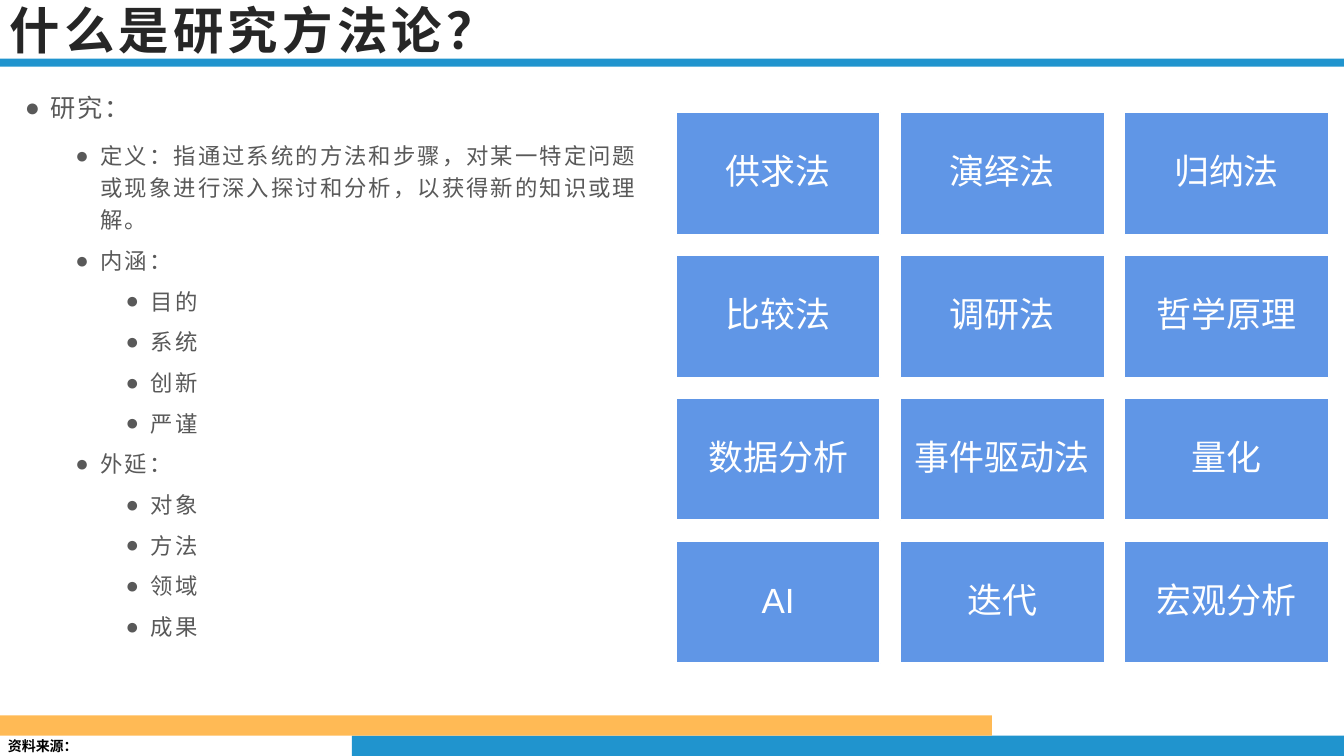
from lxml import etree
from pptx import Presentation
from pptx.dml.color import RGBColor
from pptx.enum import shapes, text
from pptx.oxml import ns
from pptx.util import Cm, Pt

TITLE = "什么是研究方法论？"
SOURCE = "资料来源："
OUTLINE = [  # (level, text)
    (0, "研究："),
    (1, "定义：指通过系统的方法和步骤，对某一特定问题或现象进行深入探讨和分析，以获得新的知识或理解。"),
    (1, "内涵："),
    (2, "目的"),
    (2, "系统"),
    (2, "创新"),
    (2, "严谨"),
    (1, "外延："),
    (2, "对象"),
    (2, "方法"),
    (2, "领域"),
    (2, "成果"),
]
METHODS = [
    ["供求法", "演绎法", "归纳法"],
    ["比较法", "调研法", "哲学原理"],
    ["数据分析", "事件驱动法", "量化"],
    ["AI", "迭代", "宏观分析"],
]
THEME = {
    "blue": "2094CE", "orange": "FFBA55", "tile": "6096E6", "white": "FFFFFF",
    "black": "000000", "title": "262626", "body": "595959",
    "latin": "Arial", "cjk": "Noto Sans CJK SC",
    "title_size": 36, "topic_size": 18, "point_size": 16,
    "method_size": 25, "source_size": 10,
}
SLIDE_W, SLIDE_H = 33.87, 19.05
BANDS = [  # (left, top, width, height, colour)
    (8.87, 18.54, 25, 0.51, "blue"),
    (0, 18.03, 25, 0.51, "orange"),
    (0, 1.48, SLIDE_W, 0.2, "blue"),
]
GRID_LEFT, GRID_TOP = 17.04, 2.83
TILE_W, TILE_H = 5.14, 3.08
PITCH_X, PITCH_Y = 5.65, 3.6
INDENT, HANGING = 1.27, 0.635


def colour(name):
    return RGBColor.from_string(THEME[name])


def style(paragraph, size, tint, latin="latin", bold=False, spacing=0):
    """Set the paragraph's font, with letter spacing in points."""
    font = paragraph.font
    font.size = Pt(THEME[size])
    font.bold = bold
    font.color.rgb = colour(tint)
    font.name = THEME[latin]
    defaults = paragraph._p.get_or_add_pPr().get_or_add_defRPr()
    defaults.set("spc", str(int(spacing * 100)))
    etree.SubElement(defaults, ns.qn("a:ea"), typeface=THEME["cjk"])


def add_rect(slide, left, top, width, height, fill):
    rect = slide.shapes.add_shape(
        shapes.MSO_SHAPE.RECTANGLE, Cm(left), Cm(top), Cm(width), Cm(height))
    rect.shadow.inherit = False
    rect.fill.solid()
    rect.fill.fore_color.rgb = colour(fill)
    rect.line.fill.background()
    return rect


def add_frame(slide, left, top, width, height, wrap=True):
    box = slide.shapes.add_textbox(Cm(left), Cm(top), Cm(width), Cm(height))
    box.text_frame.word_wrap = wrap
    return box.text_frame


def add_outline(slide):
    frame = add_frame(slide, 0.38, 1.98, 16.43, 15.57)
    for i, (level, words) in enumerate(OUTLINE):
        item = frame.add_paragraph() if i else frame.paragraphs[0]
        item.text = words
        item.level = level
        item.line_spacing = 1.2 if level else 1.3
        item.space_after = Pt(6 if level else 10)
        props = item._p.get_or_add_pPr()
        props.set("marL", str(Cm(HANGING + level * INDENT)))
        props.set("indent", str(-Cm(HANGING)))
        etree.SubElement(props, ns.qn("a:buFont"), typeface=THEME["latin"])
        etree.SubElement(props, ns.qn("a:buChar"), char="●")
        style(item, "point_size" if level else "topic_size", "body", spacing=1.5)


def add_methods(slide):
    for row, names in enumerate(METHODS):
        for col, name in enumerate(names):
            tile = add_rect(slide, GRID_LEFT + col * PITCH_X, GRID_TOP + row * PITCH_Y,
                            TILE_W, TILE_H, "tile")
            tile.line.color.rgb = colour("white")
            tile.line.width = Pt(1)
            frame = tile.text_frame
            frame.word_wrap = True
            frame.vertical_anchor = text.MSO_ANCHOR.MIDDLE
            label = frame.paragraphs[0]
            label.text = name
            label.alignment = text.PP_ALIGN.CENTER
            label.line_spacing = 0.9
            style(label, "method_size", "white")


def main():
    deck = Presentation()
    deck.slide_width, deck.slide_height = Cm(SLIDE_W), Cm(SLIDE_H)
    slide = deck.slides.add_slide(deck.slide_layouts[6])
    for band in BANDS:
        add_rect(slide, *band)

    source = add_frame(slide, -0.05, 18.47, 2, 0.68, wrap=False).paragraphs[0]
    source.text = SOURCE
    style(source, "source_size", "black", "cjk", bold=True)

    heading = add_frame(slide, 0, 0, 29.06, 1.48)
    heading.vertical_anchor = text.MSO_ANCHOR.MIDDLE
    title = heading.paragraphs[0]
    title.text = TITLE
    style(title, "title_size", "title", "cjk", bold=True, spacing=3)

    add_outline(slide)
    add_methods(slide)
    deck.save("out.pptx")


if __name__ == "__main__":
    main()
